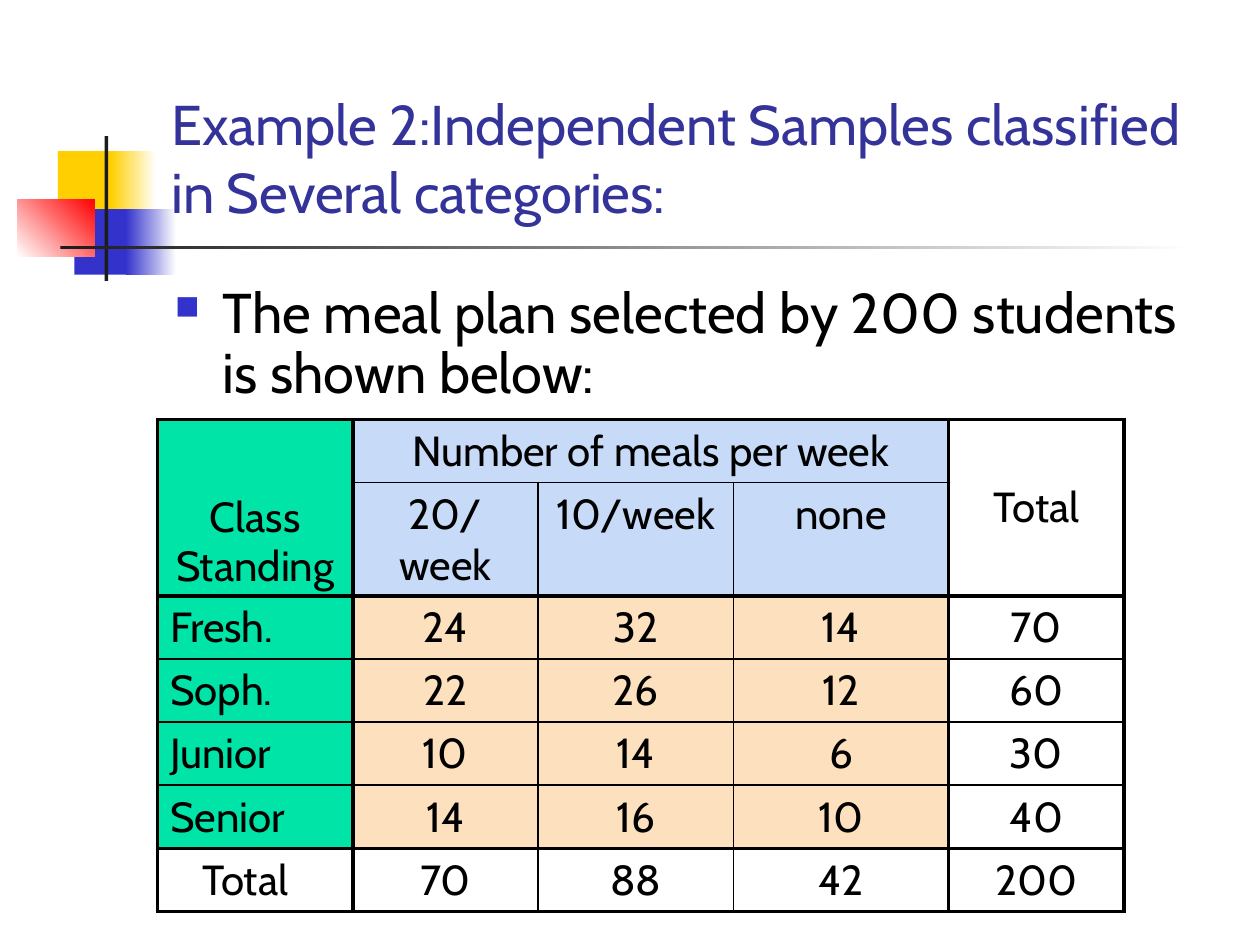
from lxml.etree import SubElement
from pptx import Presentation
from pptx.dml.color import RGBColor
from pptx.enum.shapes import MSO_SHAPE as Shape
from pptx.enum.text import MSO_ANCHOR as Anchor, PP_ALIGN as Align
from pptx.oxml.ns import qn
from pptx.util import Inches, Pt

FONT = "Cabin"
BLACK, BLUE, YELLOW, DARK, WHITE = "000000", "3333CC", "FFCF01", "1C1C1C", "FFFFFF"
GREEN, PALE_BLUE, PEACH = "00E4A8", "C7DAF7", "FDE0BD"

DECORATION = [
    ((0.46, 1.2, 0.48, 0.52), [YELLOW], 0),
    ((0.88, 1.2, 0.36, 0.52), [YELLOW, WHITE], 0),
    ((0.59, 1.66, 0.46, 0.52), [BLUE], 0),
    ((1, 1.66, 0.4, 0.52), [BLUE, WHITE], 0),
    ((0.14, 1.58, 0.61, 0.46), [WHITE, "FF0000"], 45),
    ((0.83, 1.08, 0.03, 1.15), [DARK], 0),
    ((0.48, 1.95, 9, 0.03), [DARK, WHITE], 0),
]

COL_WIDTHS = [1.55, 1.47, 1.55, 1.71, 1.39]
ROW_HEIGHTS = [0.49, 0.89] + [0.49] * 5
THICK_COLS, THICK_ROWS = {0, 1, 4, 5}, {0, 2, 6, 7}
MERGES = [((0, 0), (1, 0)), ((0, 1), (0, 3)), ((0, 4), (1, 4))]
MEALS = [
    ["Class\nStanding", "Number of meals per week", "", "", "Total"],
    ["", "20/week", "10/week", "none", ""],
    ["Fresh.", "24", "32", "14", "70"],
    ["Soph.", "22", "26", "12", "60"],
    ["Junior", "10", "14", "6", "30"],
    ["Senior", "14", "16", "10", "40"],
    ["Total", "70", "88", "42", "200"],
]


def rgb(color):
    return RGBColor.from_string(color)


def write(tf, text, size=24, color=BLACK, align=Align.LEFT, spacing=None, before=0):
    tf.word_wrap = True
    for i, line in enumerate(text.split("\n")):
        p = tf.add_paragraph() if i else tf.paragraphs[0]
        p.alignment = align
        p.line_spacing = spacing
        p.space_before = Pt(before)
        r = p.add_run()
        r.text = line
        r.font.name, r.font.size = FONT, Pt(size)
        r.font.color.rgb = rgb(color)


def add_block(slide, box, colors, angle):
    sp = slide.shapes.add_shape(Shape.RECTANGLE, *map(Inches, box))
    sp.shadow.inherit = False
    sp.line.fill.background()
    if len(colors) == 1:
        sp.fill.solid()
        sp.fill.fore_color.rgb = rgb(colors[0])
        return
    sp.fill.gradient()
    sp.fill.gradient_angle = angle
    for stop, color in zip(sp.fill.gradient_stops, colors):
        stop.color.rgb = rgb(color)


def add_text(slide, box, text, anchor=Anchor.TOP, **fmt):
    tf = slide.shapes.add_textbox(*map(Inches, box)).text_frame
    tf.vertical_anchor = anchor
    write(tf, text, **fmt)
    return tf


def add_bullet(p, char, color, percent, indent):
    pPr = p._p.get_or_add_pPr()
    pPr.set("marL", str(Inches(indent)))
    pPr.set("indent", str(-Inches(indent)))
    SubElement(SubElement(pPr, qn("a:buClr")), qn("a:srgbClr"), val=color)
    SubElement(pPr, qn("a:buSzPct"), val=str(percent * 1000))
    SubElement(pPr, qn("a:buChar"), char=char)


def set_border(cell, side, width):
    ln = SubElement(cell._tc.get_or_add_tcPr(), qn(f"a:ln{side}"), w=str(Pt(width)))
    SubElement(SubElement(ln, qn("a:solidFill")), qn("a:srgbClr"), val=BLACK)


def border_cell(cell, row, col):
    for side, edge in (("L", col), ("R", col + 1)):
        if row or edge not in (2, 3):
            set_border(cell, side, 2.25 if edge in THICK_COLS else 1)
    for side, edge in (("T", row), ("B", row + 1)):
        if edge != 1 or col not in (0, 4):
            set_border(cell, side, 2.25 if edge in THICK_ROWS else 1)


def fill_color(row, col):
    if row == 6 or col == 4:
        return None
    if col == 0:
        return GREEN
    return PALE_BLUE if row < 2 else PEACH


def add_meal_table(slide):
    box = (1.25, 3.33, sum(COL_WIDTHS), sum(ROW_HEIGHTS))
    frame = slide.shapes.add_table(len(MEALS), len(COL_WIDTHS), *map(Inches, box))
    table = frame.table
    table.first_row = table.horz_banding = False
    for column, width in zip(table.columns, COL_WIDTHS):
        column.width = Inches(width)
    for table_row, height in zip(table.rows, ROW_HEIGHTS):
        table_row.height = Inches(height)
    for start, end in MERGES:
        table.cell(*start).merge(table.cell(*end))

    for row, values in enumerate(MEALS):
        for col, text in enumerate(values):
            cell = table.cell(row, col)
            border_cell(cell, row, col)
            color = fill_color(row, col)
            if color:
                cell.fill.solid()
                cell.fill.fore_color.rgb = rgb(color)
            else:
                cell.fill.background()
            if text:
                is_class = col == 0 and 2 <= row < 6
                write(cell.text_frame, text, before=4.8,
                      align=Align.LEFT if is_class else Align.CENTER,
                      spacing=0.8 if (row, col) == (0, 0) else None)
    table.cell(0, 0).vertical_anchor = Anchor.BOTTOM
    table.cell(0, 4).vertical_anchor = Anchor.MIDDLE
    table.cell(6, 0).margin_right = Inches(0.26)


def main():
    prs = Presentation()
    prs.slide_width, prs.slide_height = Inches(10), Inches(7.5)
    slide = prs.slides.add_slide(prs.slide_layouts[6])
    for box, colors, angle in DECORATION:
        add_block(slide, box, colors, angle)
    add_text(slide, (1.26, 0.23, 8.52, 1.6),
             "Example 2:Independent Samples classified in Several categories:",
             anchor=Anchor.BOTTOM, size=32, color="333399")
    body = add_text(slide, (1.29, 2.21, 8.5, 4.5),
                    "The meal plan selected by 200 students is shown below:",
                    size=32, spacing=0.9, before=6.4)
    add_bullet(body.paragraphs[0], "■", BLUE, 60, 0.38)
    add_meal_table(slide)
    prs.save("out.pptx")


if __name__ == "__main__":
    main()
